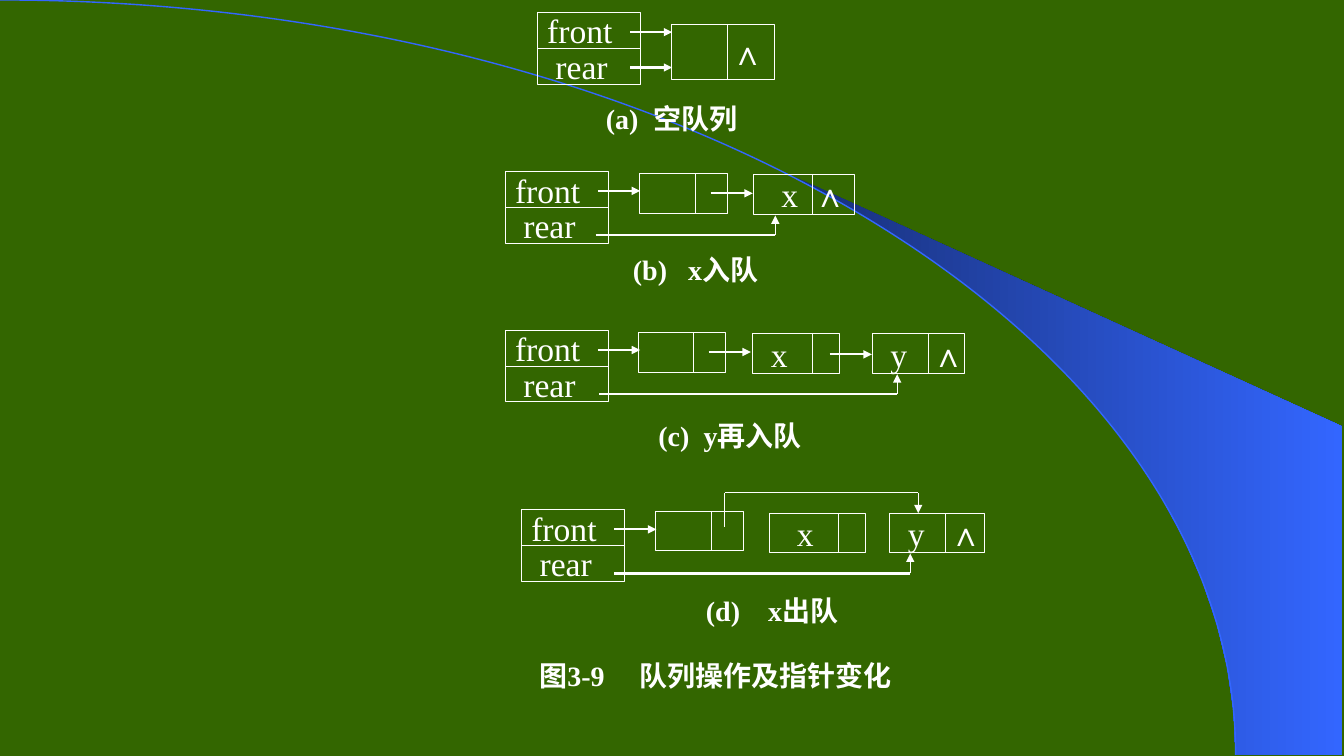
import math
import lxml.etree
import pptx
import pptx.dml.color
import pptx.enum.shapes
import pptx.enum.text
import pptx.oxml.ns
import pptx.util

Cm, Pt = pptx.util.Cm, pptx.util.Pt
qn = pptx.oxml.ns.qn
LATIN, EAST_ASIAN = "Times New Roman", "Noto Sans CJK SC"
WHITE, GREEN, BLUE, NAVY = "FFFFFF", "336600", "3366FF", "182F76"
CELL_FONT = {"size": Pt(24), "bold": False, "name": LATIN}
CAPTION_FONT = {"size": Pt(20), "bold": True, "name": LATIN}
THIN, THICK = 0.75, 1.5
HEADER_WIDTH, HEADER_HEIGHT, NODE_HEIGHT = 2.61, 0.9, 1.0
NIL_OFFSET = 1.5  # start of the nil mark inside every last node


def color(hex_string):
    return pptx.dml.color.RGBColor.from_string(hex_string)


def apply(target, values):
    for name, value in values.items():
        setattr(target, name, value)


def set_line(shape, hex_string, width):
    shape.line.color.rgb = color(hex_string)
    shape.line.width = Pt(width)


def write(shape, text, font, inset=0.25, tab=None):
    """Fill a shape with one left-aligned line, with an optional tab stop."""
    frame = shape.text_frame
    apply(frame, {
        "word_wrap": False,
        "auto_size": pptx.enum.text.MSO_AUTO_SIZE.NONE,
        "vertical_anchor": pptx.enum.text.MSO_ANCHOR.MIDDLE,
        "margin_left": Cm(inset), "margin_right": 0,
        "margin_top": 0, "margin_bottom": 0,
    })
    paragraph = frame.paragraphs[0]
    paragraph.alignment = pptx.enum.text.PP_ALIGN.LEFT
    if tab is not None:
        tabs = lxml.etree.SubElement(paragraph._p.get_or_add_pPr(), qn("a:tabLst"))
        lxml.etree.SubElement(tabs, qn("a:tab"), pos=str(int(Cm(tab))), algn="l")
    run = paragraph.add_run()
    run.text = text
    apply(run.font, font)
    run.font.color.rgb = color(WHITE)
    lxml.etree.SubElement(run._r.get_or_add_rPr(), qn("a:ea"), typeface=EAST_ASIAN)


def add_line(slide, start, end, width=THIN, arrow=False):
    points = [Cm(value) for value in (*start, *end)]
    connector = slide.shapes.add_connector(
        pptx.enum.shapes.MSO_CONNECTOR.STRAIGHT, *points)
    set_line(connector, WHITE, width)
    if arrow:
        lxml.etree.SubElement(connector.line._get_or_add_ln(), qn("a:tailEnd"),
                              type="triangle")
    lxml.etree.SubElement(connector._element.spPr, qn("a:effectLst"))


def add_cell(slide, left, top, width, height, text="", inset=0.25, tab=None):
    cell = slide.shapes.add_shape(
        pptx.enum.shapes.MSO_SHAPE.RECTANGLE,
        Cm(left), Cm(top), Cm(width), Cm(height))
    cell.shadow.inherit = False
    cell.fill.background()
    set_line(cell, WHITE, THIN)
    if text:
        write(cell, text, CELL_FONT, inset, tab)


def add_node(slide, left, top, width, divider, text="", inset=0.25,
             height=NODE_HEIGHT):
    """A list node: data field, divider, pointer field."""
    tab = NIL_OFFSET - inset if "\t" in text else None
    add_cell(slide, left, top, width, height, text, inset, tab)
    add_line(slide, (left + divider, top), (left + divider, top + height))


def draw_backdrop(slide, width, height):
    """Arc across the slide and the shaded wedge to its right."""
    def outline(points, close):
        points = [(Cm(x), Cm(y)) for x, y in points]
        builder = slide.shapes.build_freeform(*points[0])
        builder.add_line_segments(points[1:], close=close)
        shape = builder.convert_to_shape()
        shape.shadow.inherit = False
        return shape

    right, steps = 33.81, 15
    angles = [math.radians(40 + 50 * step / steps) for step in range(steps + 1)]
    edge = [(width * math.sin(angle), height * (1 - math.cos(angle)))
            for angle in angles]
    wedge = outline(edge + [(right, height), (right, 10.74)], True)
    wedge.line.fill.background()
    wedge.fill.gradient()
    wedge.fill.gradient_angle = 0
    for stop, position, shade in zip(wedge.fill.gradient_stops, (0, 1), (NAVY, BLUE)):
        stop.position = position
        stop.color.rgb = color(shade)

    # Quarter ellipse: the straight segment becomes one Bezier segment
    curve = outline([(0, 0), (width, height)], False)
    curve.fill.background()
    set_line(curve, BLUE, 1)
    segment = curve._element.find(".//" + qn("a:lnTo"))
    bezier = lxml.etree.Element(qn("a:cubicBezTo"))
    for x, y in ((0.55 * width, 0), (width, 0.45 * height), (width, height)):
        lxml.etree.SubElement(bezier, qn("a:pt"), x=str(int(Cm(x))), y=str(int(Cm(y))))
    segment.getparent().replace(segment, bezier)


def draw_queue(slide, left, top, caption, nodes, arrows, rail=None, bypass=None):
    """One queue state; all lengths are relative to the box's corner."""
    def at(x, y):
        return left + x, top + y

    # Queue header
    for row, (name, inset) in enumerate((("front", 0.25), ("rear", 0.46))):
        add_cell(slide, *at(0, row * HEADER_HEIGHT), HEADER_WIDTH, HEADER_HEIGHT,
                 name, inset)
    # Nodes and the links between them
    for x, y, *node in nodes:
        add_node(slide, *at(x, y), *node)
    for x, y in arrows:
        add_line(slide, at(x, y), at(x + 1.06, y), THICK, True)
    # Rear pointer
    if rail:
        start, end = rail
        add_line(slide, at(start, 1.6), at(end, 1.6), THICK)
        add_line(slide, at(end, 1.6), at(end, 1.1), arrow=True)
    # Link that skips the removed node
    if bypass:
        start, end = bypass
        add_line(slide, at(start, -0.43), at(start, 0.43))
        add_line(slide, at(start, -0.43), at(end, -0.43))
        add_line(slide, at(end, -0.43), at(end, 0.08), arrow=True)
    # Caption
    text, x, y, tab = caption
    box = slide.shapes.add_textbox(*map(Cm, at(x, y)), Cm(3.6), Cm(1.09))
    write(box, text, CAPTION_FONT, tab=tab)


def draw_title(slide, left, top, width, height):
    title = slide.shapes.title
    apply(title, {"left": Cm(left), "top": Cm(top),
                  "width": Cm(width), "height": Cm(height)})
    write(title, "图3-9\t队列操作及指针变化", CAPTION_FONT, tab=2.52)


QUEUES = [
    dict(left=13.54, top=0.32, caption=("(a)\t空队列", 1.48, 2.12, 1.19),
         nodes=[(3.38, 0.29, 2.6, 1.41, "∧", NIL_OFFSET, 1.4)],
         arrows=[(2.34, 0.49), (2.34, 1.38)]),
    dict(left=12.73, top=4.33, caption=("(b)\tx入队", 2.97, 1.92, 1.39),
         nodes=[(3.39, 0.04, 2.21, 1.4), (6.27, 0.07, 2.54, 1.47, "x\t∧", 0.69)],
         arrows=[(2.34, 0.48), (5.18, 0.54)], rail=(2.28, 6.81)),
    dict(left=12.73, top=8.33, caption=("(c)\ty再入队", 3.61, 2.09, 1.14),
         nodes=[(3.35, 0.05, 2.21, 1.4), (6.24, 0.08, 2.2, 1.5, "x", 0.46),
                (9.25, 0.08, 2.32, 1.41, "y\t∧", 0.46)],
         arrows=[(2.34, 0.49), (5.13, 0.54), (8.18, 0.6)], rail=(2.37, 9.88)),
    dict(left=13.14, top=12.85, caption=("(d)\tx出队", 4.4, 1.98, 1.57),
         nodes=[(3.38, 0.03, 2.21, 1.41), (6.26, 0.08, 2.42, 1.72, "x", 0.68),
                (9.28, 0.08, 2.39, 1.41, "y\t∧", 0.46)],
         arrows=[(2.34, 0.49)], rail=(2.34, 9.8), bypass=(5.13, 10.0)),
]

presentation = pptx.Presentation()
apply(presentation, {"slide_width": Cm(33.87), "slide_height": Cm(19.05)})
slide = presentation.slides.add_slide(presentation.slide_layouts[5])
slide.background.fill.solid()
slide.background.fill.fore_color.rgb = color(GREEN)

draw_backdrop(slide, 31.14, 19.02)
for queue in QUEUES:
    draw_queue(slide, **queue)
draw_title(slide, 13.34, 16.52, 9.4, 0.99)
presentation.save("out.pptx")
